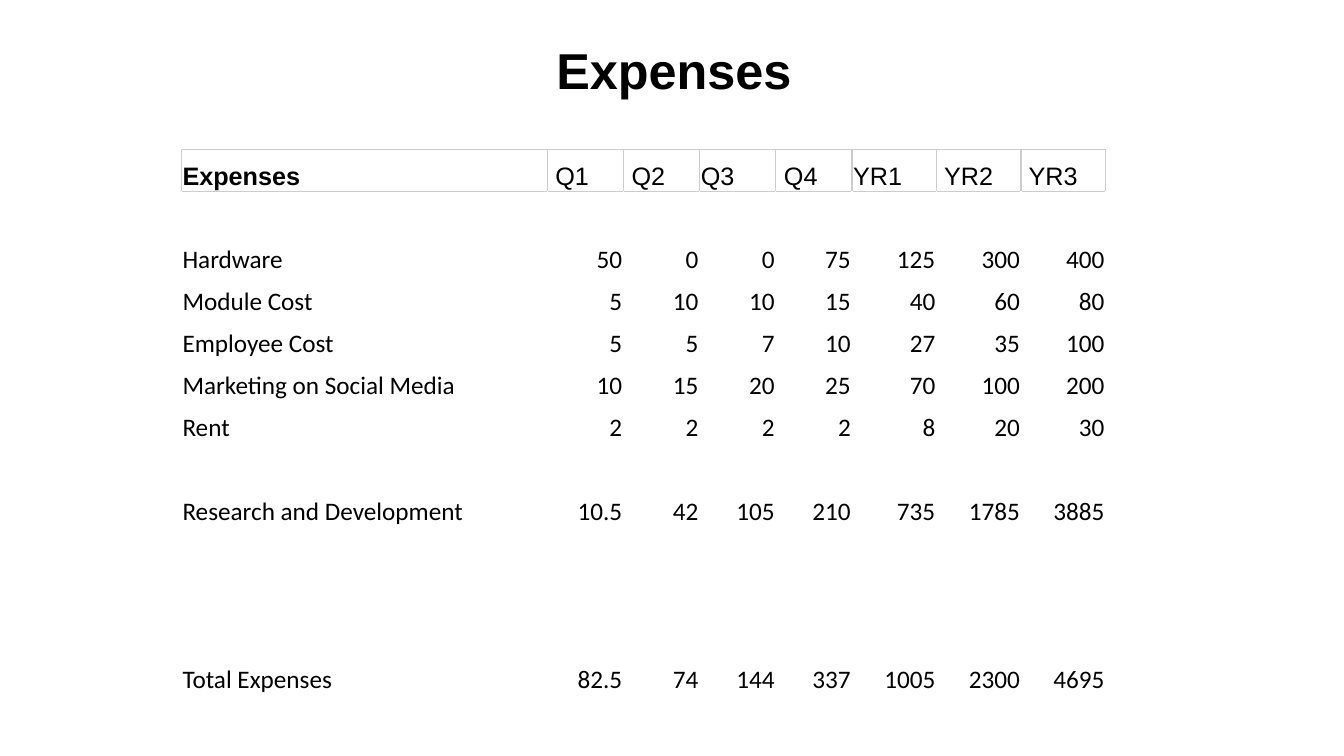
from lxml import etree
from pptx import Presentation
from pptx import util as u
from pptx.dml.color import RGBColor
from pptx.enum import text
from pptx.oxml import ns

BLACK = RGBColor(0x00, 0x00, 0x00)
GRID_GREY = RGBColor(0xCC, 0xCC, 0xCC)

HEADINGS = ["Expenses", " Q1", " Q2", "Q3 ", " Q4", "YR1", " YR2", " YR3"]
BLANK_ROW = [""] * len(HEADINGS)
EXPENSES = [
    HEADINGS,
    BLANK_ROW,
    ["Hardware", 50, 0, 0, 75, 125, 300, 400],
    ["Module Cost", 5, 10, 10, 15, 40, 60, 80],
    ["Employee Cost", 5, 5, 7, 10, 27, 35, 100],
    ["Marketing on Social Media", 10, 15, 20, 25, 70, 100, 200],
    ["Rent", 2, 2, 2, 2, 8, 20, 30],
    ["Research and Development", 10.5, 42, 105, 210, 735, 1785, 3885],
    BLANK_ROW,
    BLANK_ROW,
    BLANK_ROW,
    ["Total Expenses", 82.5, 74, 144, 337, 1005, 2300, 4695],
]
COLUMN_WIDTHS = [9.22] + [1.92] * 4 + [2.13] * 3
ROW_HEIGHTS = [1.06] * 7 + [2.1] + [1.06] * 4


class SlideBuilder:
    heading_font = "Arial"
    body_font = "Calibri"
    title_size = u.Pt(36)
    table_size = u.Pt(18)

    def __init__(self, slide):
        self.slide = slide

    def add_run(self, paragraph, wording, size, font, bold=False):
        run = paragraph.add_run()
        run.text = wording
        run.font.size = size
        run.font.name = font
        run.font.bold = bold
        run.font.color.rgb = BLACK

    def add_title(self, wording, left, top, width, height):
        box = self.slide.shapes.add_textbox(u.Cm(left), u.Cm(top), u.Cm(width), u.Cm(height))
        frame = box.text_frame
        frame.word_wrap = True
        frame.vertical_anchor = text.MSO_ANCHOR.MIDDLE
        paragraph = frame.paragraphs[0]
        paragraph.line_spacing = 0.9
        self.add_run(paragraph, wording, self.title_size, self.heading_font, True)

    def add_borders(self, cell, sides):
        properties = cell._tc.get_or_add_tcPr()
        for side in sides:
            line = etree.SubElement(properties, ns.qn(f"a:ln{side}"), w=str(u.Pt(1)))
            fill = etree.SubElement(line, ns.qn("a:solidFill"))
            etree.SubElement(fill, ns.qn("a:srgbClr"), val=str(GRID_GREY))

    def fill_cell(self, cell, value, is_heading, is_bold):
        cell.vertical_anchor = text.MSO_ANCHOR.BOTTOM
        cell.margin_left = cell.margin_right = cell.margin_top = u.Cm(0.03)
        cell.margin_bottom = 0
        cell.fill.background()
        paragraph = cell.text_frame.paragraphs[0]
        paragraph.font.size = self.table_size
        if value == "":
            return
        if not isinstance(value, str):
            paragraph.alignment = text.PP_ALIGN.RIGHT
        font = self.heading_font if is_heading else self.body_font
        self.add_run(paragraph, str(value), self.table_size, font, is_bold)

    def add_table(self, rows, widths, heights, left, top):
        table = self.slide.shapes.add_table(
            len(rows), len(widths), u.Cm(left), u.Cm(top), u.Cm(sum(widths)), u.Cm(sum(heights))
        ).table
        table.first_row = False
        table.horz_banding = False
        for column, width in zip(table.columns, widths):
            column.width = u.Cm(width)
        for row, height in zip(table.rows, heights):
            row.height = u.Cm(height)
        border_sides = {0: "LRTB", 1: "T"}
        for row_index, values in enumerate(rows):
            for column_index, value in enumerate(values):
                cell = table.cell(row_index, column_index)
                self.add_borders(cell, border_sides.get(row_index, ""))
                is_heading = row_index == 0
                self.fill_cell(cell, value, is_heading, is_heading and column_index == 0)


def main():
    presentation = Presentation()
    presentation.slide_width = u.Cm(33.87)
    presentation.slide_height = u.Cm(19.05)
    builder = SlideBuilder(presentation.slides.add_slide(presentation.slide_layouts[6]))
    builder.add_table(EXPENSES, COLUMN_WIDTHS, ROW_HEIGHTS, 4.57, 3.76)
    builder.add_title("Expenses", 13.77, 0.74, 20.1, 2.21)
    presentation.save("out.pptx")


if __name__ == "__main__":
    main()
